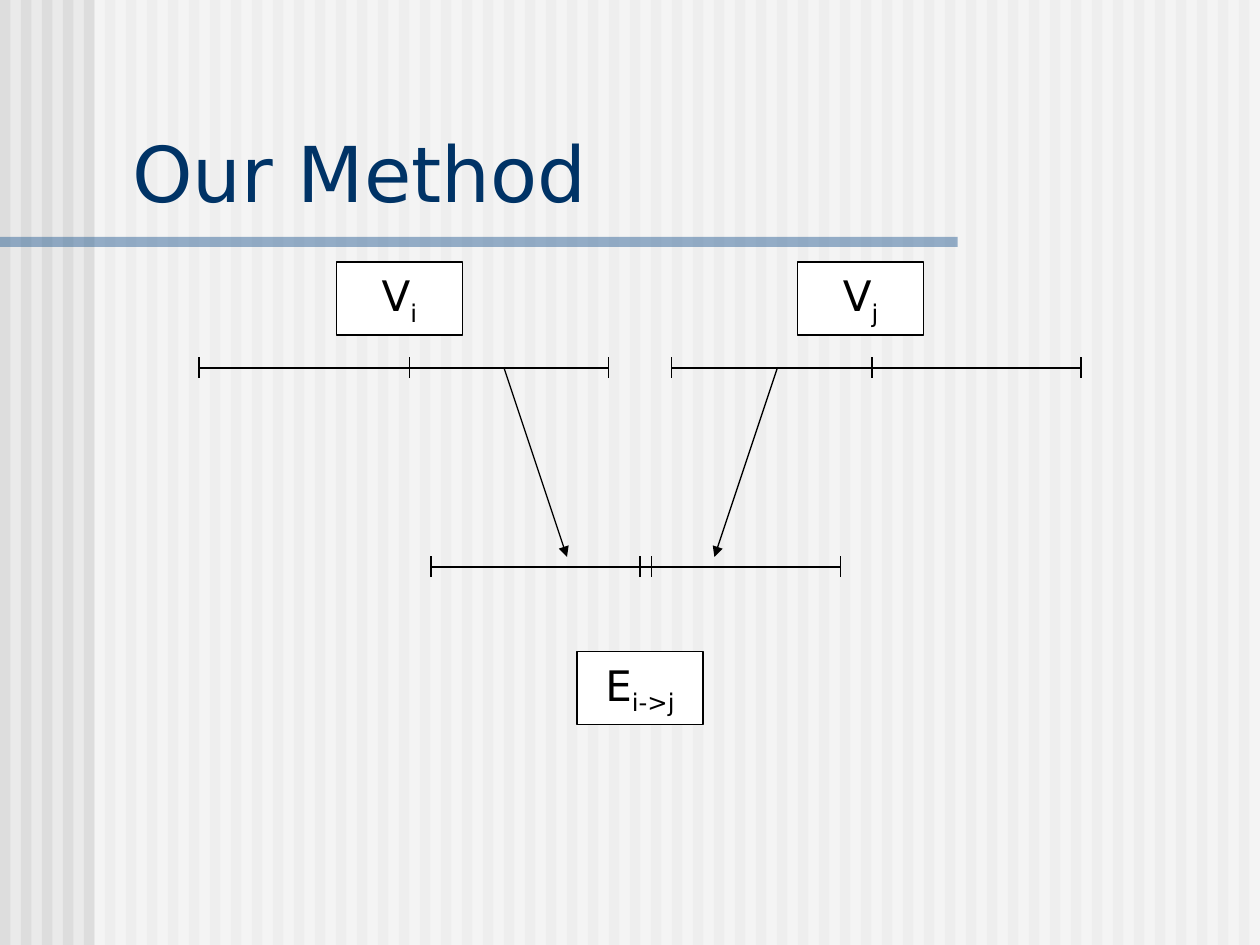
from dataclasses import dataclass

from pptx import Presentation
from pptx.dml.color import RGBColor
from pptx.enum.shapes import MSO_CONNECTOR, MSO_SHAPE
from pptx.enum.text import MSO_ANCHOR, MSO_AUTO_SIZE, PP_ALIGN
from pptx.oxml.ns import qn
from pptx.util import Inches, Pt
from lxml.etree import SubElement


@dataclass(frozen=True)
class Theme:
    font: str = "DejaVu Sans"
    paper: str = "EAEAEA"
    stripe: str = "DDDDDD"
    white: str = "FFFFFF"
    rule: str = "336699"
    title: str = "003366"
    ink: str = "000000"
    title_size: int = 44
    label_size: int = 24
    line_width: float = 0.75


THEME = Theme()
SLIDE_W, SLIDE_H = 10, 7.5
STRIPE_COUNT, STRIPES_PER_INCH = 60, 6
TICK = 1 / 6
LABEL_W, LABEL_H = 1, 0.58

TITLE = "Our Method"
# Each scale: y, then the x of its ticks; the first and last are its ends.
SCALES = [
    (2.92, (1.58, 3.25, 4.83)),
    (2.92, (5.33, 6.92, 8.58)),
    (4.5, (3.42, 5.08, 5.17, 6.67)),
]
# Each label: letter, subscript, left, top.
LABELS = [
    ("V", "i", 2.67, 2.08),
    ("V", "j", 6.33, 2.08),
    ("E", "i->j", 4.58, 5.17),
]
ARROWS = [((4, 2.92), (4.5, 4.42)), ((6.17, 2.92), (5.67, 4.42))]


def colour(code):
    return RGBColor.from_string(code)


def style_font(font, size, code):
    font.name = THEME.font
    font.size = Pt(size)
    font.color.rgb = colour(code)


def add_rect(shapes, left, top, width, height, fill, alpha=None):
    """Add a borderless rectangle; alpha is its opacity in percent."""
    rect = shapes.add_shape(MSO_SHAPE.RECTANGLE, Inches(left), Inches(top),
                            Inches(width), Inches(height))
    rect.shadow.inherit = False
    rect.fill.solid()
    rect.fill.fore_color.rgb = colour(fill)
    rect.line.fill.background()
    if alpha is not None:
        shade = rect._element.spPr.find(qn("a:solidFill"))[0]
        SubElement(shade, qn("a:alpha")).set("val", str(alpha * 1000))
    return rect


def add_line(page, start, end, arrow=False):
    line = page.shapes.add_connector(
        MSO_CONNECTOR.STRAIGHT, *(Inches(value) for value in (*start, *end)))
    line.line.color.rgb = colour(THEME.ink)
    line.line.width = Pt(THEME.line_width)
    if arrow:
        SubElement(line.line._get_or_add_ln(), qn("a:tailEnd")).set("type", "triangle")
    SubElement(line._element.spPr, qn("a:effectLst"))


def add_backdrop(page):
    page.background.fill.solid()
    page.background.fill.fore_color.rgb = colour(THEME.paper)
    backdrop = page.shapes.add_group_shape().shapes
    for index in range(STRIPE_COUNT):
        add_rect(backdrop, index / STRIPES_PER_INCH, 0,
                 0.5 / STRIPES_PER_INCH, SLIDE_H, THEME.stripe)
    add_rect(backdrop, 0.75, 0, SLIDE_W - 0.75, SLIDE_H, THEME.white, 50)
    add_rect(backdrop, 0, 1.88, 7.6, 0.08, THEME.rule, 50)


def add_title(page):
    title = page.shapes.title
    page.shapes._spTree.append(title._element)  # in front of the backdrop
    title.left, title.top = Inches(0.95), Inches(0.94)
    title.width, title.height = Inches(8.93), Inches(0.84)
    frame = title.text_frame
    frame.text = TITLE
    frame.vertical_anchor = MSO_ANCHOR.BOTTOM
    frame.auto_size = MSO_AUTO_SIZE.SHAPE_TO_FIT_TEXT
    para = frame.paragraphs[0]
    para.alignment = PP_ALIGN.LEFT
    style_font(para.runs[0].font, THEME.title_size, THEME.title)


def add_scale(page, y, ticks):
    add_line(page, (ticks[0], y), (ticks[-1], y))
    for x in ticks:
        add_line(page, (x, y - TICK / 2), (x, y + TICK / 2))


def add_label(page, letter, subscript, left, top):
    box = add_rect(page.shapes, left, top, LABEL_W, LABEL_H, THEME.white)
    box.line.color.rgb = colour(THEME.ink)
    box.line.width = Pt(THEME.line_width)
    frame = box.text_frame
    frame.word_wrap = False
    frame.vertical_anchor = MSO_ANCHOR.MIDDLE
    para = frame.paragraphs[0]
    para.alignment = PP_ALIGN.CENTER
    for text in (letter, subscript):
        span = para.add_run()
        span.text = text
        style_font(span.font, THEME.label_size, THEME.ink)
    span._r.get_or_add_rPr().set("baseline", "-25000")


def main():
    deck = Presentation()
    deck.slide_width, deck.slide_height = Inches(SLIDE_W), Inches(SLIDE_H)
    page = deck.slides.add_slide(deck.slide_layouts.get_by_name("Title Only"))
    add_backdrop(page)
    add_title(page)
    for scale in SCALES:
        add_scale(page, *scale)
    for label in LABELS:
        add_label(page, *label)
    for start, end in ARROWS:
        add_line(page, start, end, arrow=True)
    deck.save("out.pptx")


if __name__ == "__main__":
    main()
